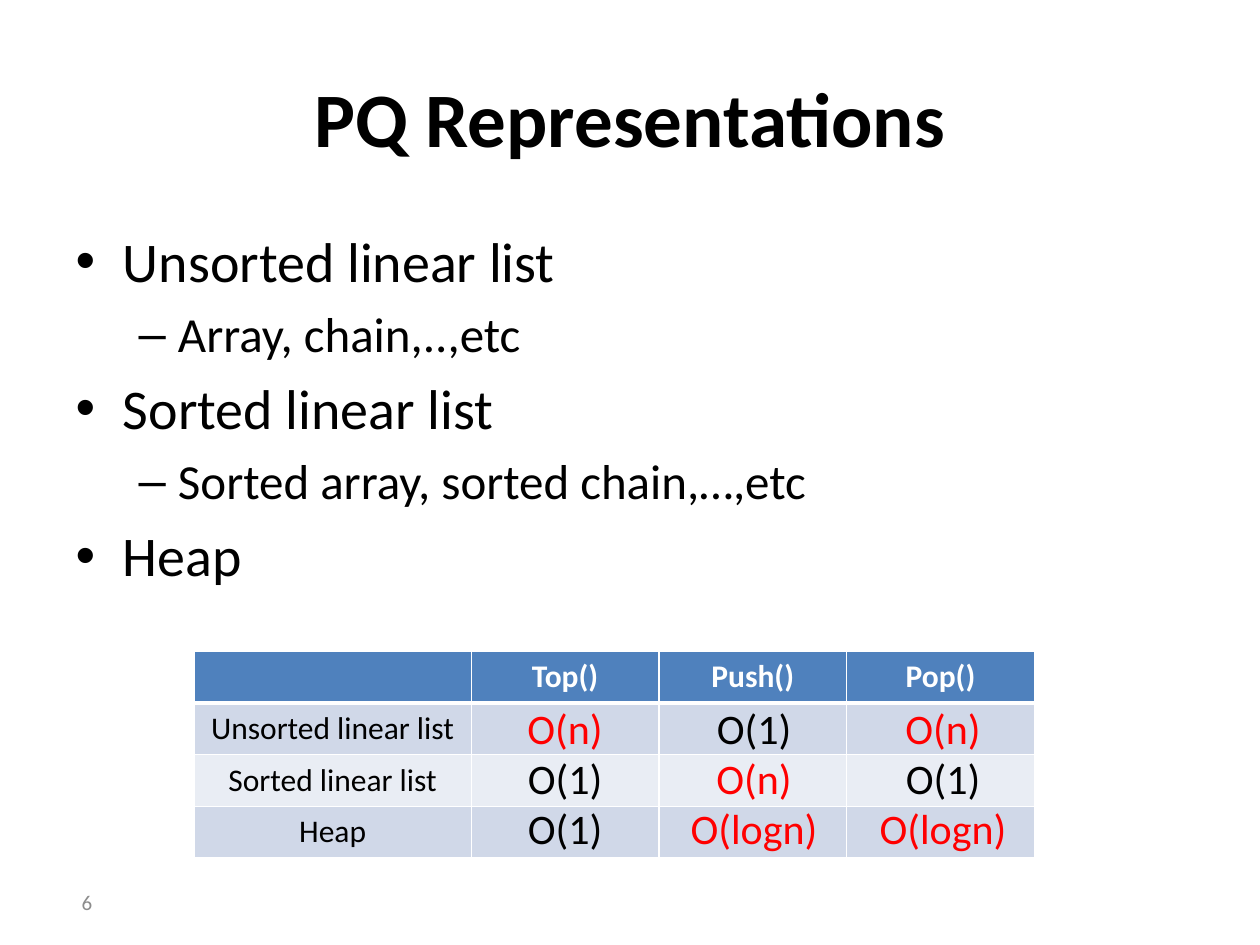
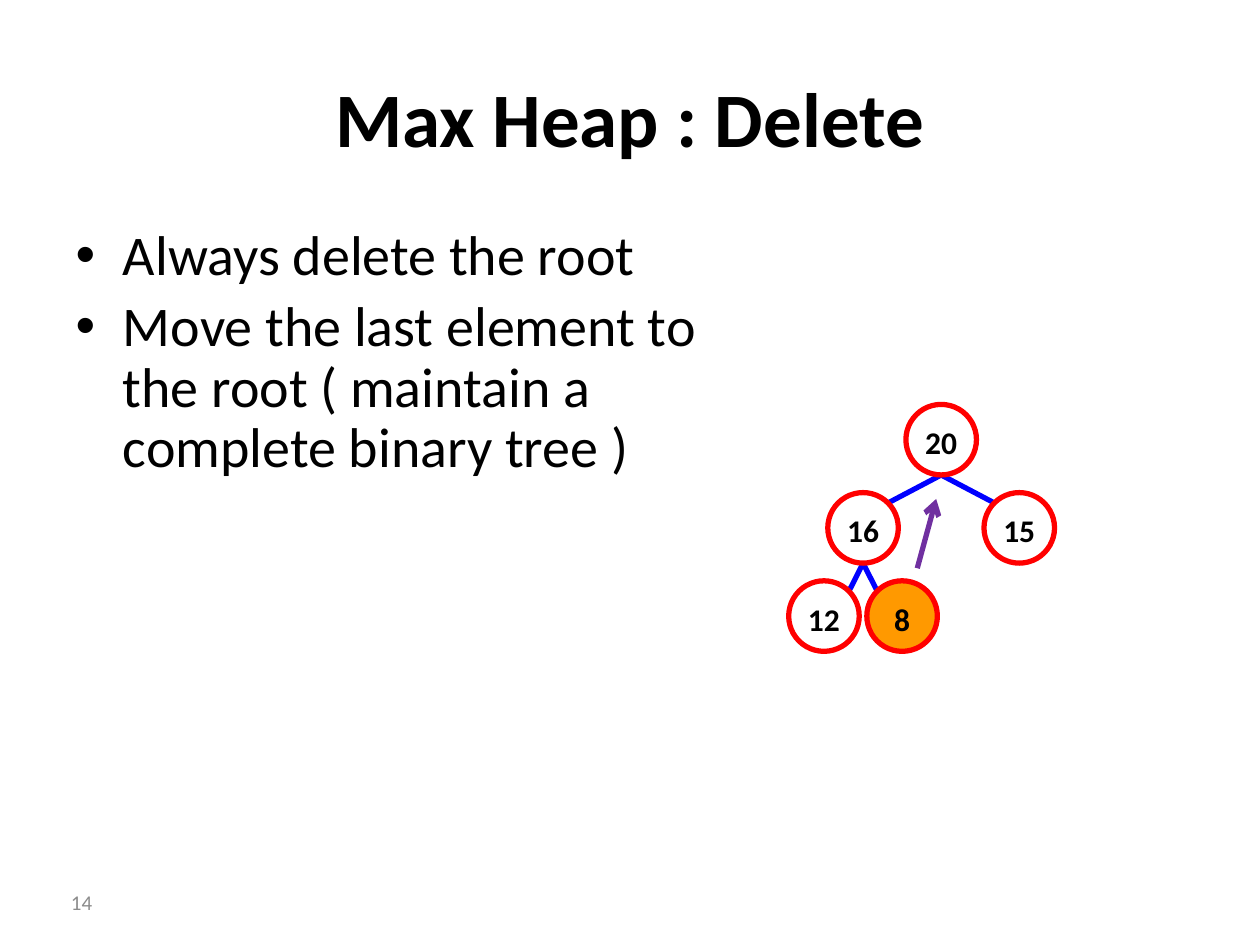
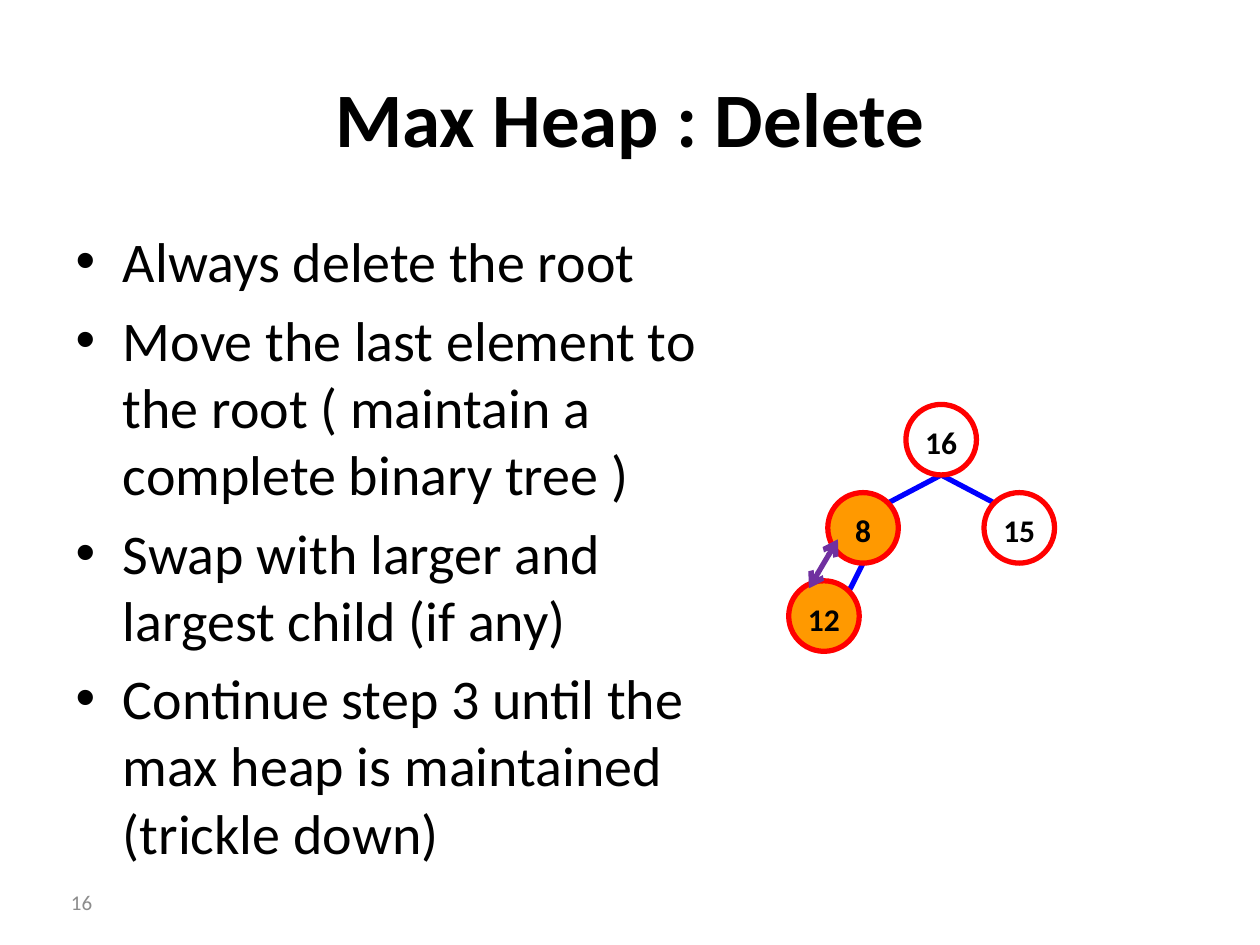
from dataclasses import dataclass
from math import sqrt

from lxml import etree
from pptx import Presentation
from pptx import util as u
from pptx.dml.color import RGBColor
from pptx.enum import shapes, text
from pptx.oxml.ns import qn

FONT = "Calibri"
BLACK, WHITE, GRAY = "000000", "FFFFFF", "8C8C8C"
RED, BLUE, PURPLE, ORANGE = "FF0000", "0000FF", "7030A0", "FF9900"
HEADER, BAND_DARK, BAND_LIGHT = "4F81BD", "D0D8E8", "E9EDF4"
BODY_SIZES = (32, 28)
STROKE = 3

TREE_X, TREE_Y = 6.54, 3.49
TREE_COL, TREE_ROW = 0.31, 0.7
RADIUS = 0.28

TABLE_X, TABLE_Y, TABLE_ROW = 1.54, 5.17, 0.41
TABLE_COLS = (2.2, 1.49, 1.49, 1.49)
COST_X, COST_Y, COST_COL, COST_ROW = 3.82, 5.53, 1.5, 0.395
COST_W, COST_H = 1.33, 0.5


@dataclass(frozen=True)
class Bullet:
    words: str
    level: int = 0


@dataclass(frozen=True)
class Node:
    label: str
    col: int
    row: int
    parent: "Node | None" = None
    marked: bool = False

    @property
    def x(self) -> float:
        return TREE_X + self.col * TREE_COL

    @property
    def y(self) -> float:
        return TREE_Y + self.row * TREE_ROW


@dataclass(frozen=True)
class Arrow:
    start: tuple[float, float]
    end: tuple[float, float]
    ends: tuple[str, ...] = ("tailEnd",)


def rgb(value: str) -> RGBColor:
    return RGBColor.from_string(value)


def style(p, size: float, color: str = BLACK, bold: bool = False, align=None) -> None:
    p.font.name, p.font.size, p.font.bold = FONT, u.Pt(size), bold
    p.font.color.rgb = rgb(color)
    p.alignment = align


def add_text(slide, words: str, box: tuple, size: float, color: str, align,
             anchor=text.MSO_ANCHOR.TOP) -> None:
    tf = slide.shapes.add_textbox(*map(u.Inches, box)).text_frame
    tf.word_wrap, tf.vertical_anchor = True, anchor
    tf.text = words
    style(tf.paragraphs[0], size, color, align=align)


def add_page(prs, title: str, number: int, bullets: list[Bullet],
             body_width: float = 9, spacing: float | None = None):
    slide = prs.slides.add_slide(prs.slide_layouts[1])
    head, body = slide.placeholders
    for sp, box in ((head, (0.5, 0.3, 9, 1.25)), (body, (0.5, 1.75, body_width, 4.95))):
        sp.left, sp.top, sp.width, sp.height = map(u.Inches, box)
    head.text_frame.text = title
    style(head.text_frame.paragraphs[0], 44, bold=True, align=text.PP_ALIGN.CENTER)
    tf = body.text_frame
    tf.auto_size = text.MSO_AUTO_SIZE.NONE
    tf.text = "\n".join(b.words for b in bullets)
    for p, bullet in zip(tf.paragraphs, bullets):
        p.level, p.line_spacing = bullet.level, spacing
        style(p, BODY_SIZES[bullet.level])
    add_text(slide, str(number), (0, 6.96, 0.83, 0.4), 12, GRAY,
             text.PP_ALIGN.RIGHT, text.MSO_ANCHOR.MIDDLE)
    return slide


def add_line(slide, start: tuple, end: tuple, color: str, ends: tuple[str, ...] = ()) -> None:
    sp = slide.shapes.add_connector(shapes.MSO_CONNECTOR.STRAIGHT,
                                    *map(u.Inches, (*start, *end)))
    sp.line.color.rgb, sp.line.width = rgb(color), u.Pt(STROKE)
    for name in ends:
        etree.SubElement(sp.line._get_or_add_ln(), qn(f"a:{name}"), type="arrow")
    etree.SubElement(sp._element.spPr, qn("a:effectLst"))


def add_node(slide, node: Node) -> None:
    sp = slide.shapes.add_shape(shapes.MSO_SHAPE.OVAL, *map(
        u.Inches, (node.x - RADIUS, node.y - RADIUS, 2 * RADIUS, 2 * RADIUS)))
    sp.shadow.inherit = False
    if node.marked:
        sp.fill.solid()
        sp.fill.fore_color.rgb = rgb(ORANGE)
    else:
        sp.fill.background()
    sp.line.color.rgb, sp.line.width = rgb(RED), u.Pt(STROKE)
    tf = sp.text_frame
    tf.margin_left = tf.margin_right = tf.margin_bottom = 0
    tf.margin_top = u.Inches(0.04)
    tf.word_wrap, tf.vertical_anchor = False, text.MSO_ANCHOR.MIDDLE
    tf.text = node.label
    style(tf.paragraphs[0], 18, bold=True, align=text.PP_ALIGN.CENTER)


def add_tree(slide, nodes: list[Node], arrow: Arrow) -> None:
    reach = RADIUS / sqrt(2)
    for node in nodes:
        if node.parent:
            side = reach if node.parent.x > node.x else -reach
            add_line(slide, (node.x + side, node.y - reach),
                     (node.parent.x, node.parent.y + RADIUS), BLUE)
    for node in nodes:
        add_node(slide, node)
    add_line(slide, arrow.start, arrow.end, PURPLE, arrow.ends)


def set_borders(cell, bottom: float) -> None:
    tc_pr = cell._tc.get_or_add_tcPr()
    for i, (name, width) in enumerate((("lnL", 1), ("lnR", 1), ("lnT", 1), ("lnB", bottom))):
        ln = etree.Element(qn(f"a:{name}"), w=str(u.Pt(width)))
        fill = etree.SubElement(ln, qn("a:solidFill"))
        etree.SubElement(fill, qn("a:srgbClr"), val=WHITE)
        tc_pr.insert(i, ln)


def add_cost_table(slide, operations: list[str], costs: dict[str, list[str]]) -> None:
    rows = [["", *operations], *([name, "", "", ""] for name in costs)]
    table = slide.shapes.add_table(len(rows), len(TABLE_COLS), *map(
        u.Inches, (TABLE_X, TABLE_Y, sum(TABLE_COLS), TABLE_ROW * len(rows)))).table
    for column, width in zip(table.columns, TABLE_COLS):
        column.width = u.Inches(width)
    for r, row in enumerate(rows):
        band = HEADER if r == 0 else (BAND_LIGHT, BAND_DARK)[r % 2]
        for c, words in enumerate(row):
            cell = table.cell(r, c)
            cell.text = words
            cell.fill.solid()
            cell.fill.fore_color.rgb = rgb(band)
            style(cell.text_frame.paragraphs[0], 18, BLACK if r else WHITE,
                  bold=r == 0, align=text.PP_ALIGN.CENTER)
            set_borders(cell, 1 if r else 3)
    for r, values in enumerate(costs.values()):
        for c, cost in enumerate(values):
            box = (COST_X + c * COST_COL, COST_Y + r * COST_ROW, COST_W, COST_H)
            add_text(slide, cost, box, 24, BLACK if cost == "O(1)" else RED,
                     text.PP_ALIGN.CENTER)


def main() -> None:
    prs = Presentation()
    prs.slide_width, prs.slide_height = u.Inches(10), u.Inches(7.5)

    slide = add_page(prs, "PQ Representations", 6, [
        Bullet("Unsorted linear list"),
        Bullet("Array, chain,..,etc", 1),
        Bullet("Sorted linear list"),
        Bullet("Sorted array, sorted chain,…,etc", 1),
        Bullet("Heap"),
    ])
    add_cost_table(slide, ["Top()", "Push()", "Pop()"], {
        "Unsorted linear list": ["O(n)", "O(1)", "O(n)"],
        "Sorted linear list": ["O(1)", "O(n)", "O(1)"],
        "Heap": ["O(1)", "O(logn)", "O(logn)"],
    })

    steps = [
        Bullet("Always delete the root"),
        Bullet("Move the last element to the root ( maintain a complete binary tree )"),
        Bullet("Swap with larger and largest child (if any)"),
        Bullet("Continue step 3 until the max heap is maintained (trickle down)"),
    ]
    slide = add_page(prs, "Max Heap : Delete", 14, steps[:2], 5.52, 0.9)
    root = Node("20", 3, 0)
    left = Node("16", 1, 1, root)
    add_tree(slide, [root, left, Node("15", 5, 1, root), Node("12", 0, 2, left),
                     Node("8", 2, 2, left, marked=True)],
             Arrow((7.28, 4.51), (7.43, 3.96)))

    slide = add_page(prs, "Max Heap : Delete", 16, steps, 5.52)
    root = Node("16", 3, 0)
    left = Node("8", 1, 1, root, marked=True)
    add_tree(slide, [root, left, Node("15", 5, 1, root),
                     Node("12", 0, 2, left, marked=True)],
             Arrow((6.42, 4.67), (6.65, 4.28), ("headEnd", "tailEnd")))

    prs.save("out.pptx")


if __name__ == "__main__":
    main()
